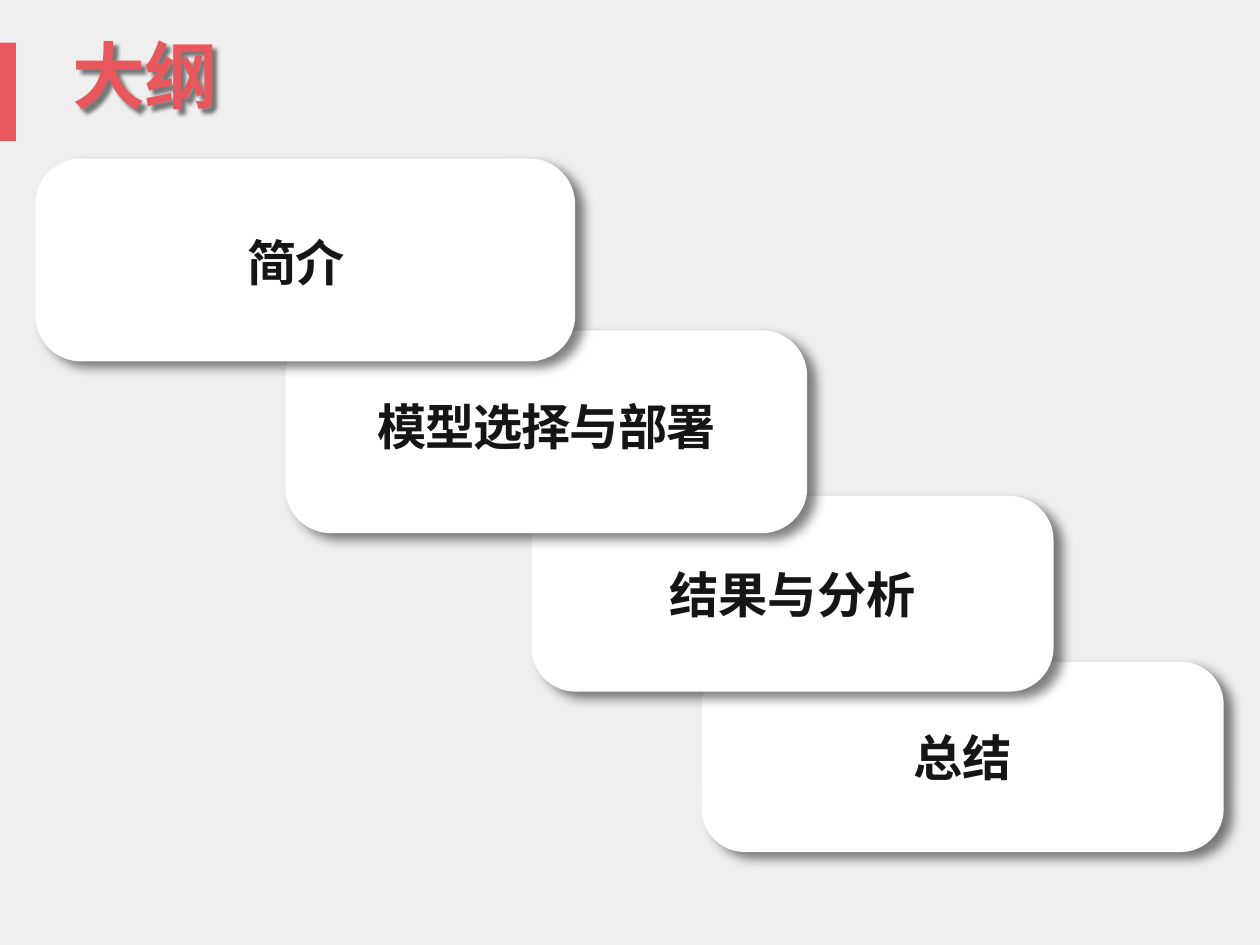
from lxml.etree import SubElement
from pptx import Presentation
from pptx.dml.color import RGBColor
from pptx.enum.shapes import MSO_SHAPE
from pptx.enum.text import MSO_ANCHOR, PP_ALIGN
from pptx.oxml.ns import qn
from pptx.util import Inches, Pt

CJK_FONT = "Noto Sans CJK SC"
CORAL = "E8575C"


def write(shape, text, size=40, font=CJK_FONT, color="151515", align=PP_ALIGN.CENTER,
          anchor=MSO_ANCHOR.MIDDLE, line_spacing=None, tracking=None):
    frame = shape.text_frame
    frame.word_wrap = True
    frame.vertical_anchor = anchor
    frame.margin_left = frame.margin_right = Inches(0.06)
    frame.margin_top = frame.margin_bottom = Inches(0.06)
    paragraph = frame.paragraphs[0]
    paragraph.alignment = align
    if line_spacing:
        paragraph.line_spacing = line_spacing
    run = paragraph.add_run()
    run.text = text
    run.font.size = Pt(size)
    run.font.bold = True
    run.font.name = font
    run.font.color.rgb = RGBColor.from_string(color)
    properties = run.font._element
    SubElement(properties, qn("a:ea"), typeface=CJK_FONT)
    if tracking:
        properties.set("spc", str(round(tracking * 100)))


def cast_shadow(shape, blur, distance, angle):
    shape.shadow.inherit = False
    effects = shape._element.spPr.find(qn("a:effectLst"))
    shadow = SubElement(effects, qn("a:outerShdw"), blurRad=str(Pt(blur)), dist=str(Pt(distance)),
                        dir=str(angle * 60000), algn="tl", rotWithShape="0")
    shade = SubElement(shadow, qn("a:srgbClr"), val="000000")
    SubElement(shade, qn("a:alpha"), val="50000")


presentation = Presentation()
presentation.slide_width = Inches(14.22)
presentation.slide_height = Inches(10.67)
slide = presentation.slides.add_slide(presentation.slide_layouts[5])
slide.background.fill.solid()
slide.background.fill.fore_color.rgb = RGBColor.from_string("EFEFEF")

heading = slide.shapes.title
heading.left, heading.top = Inches(0.76), Inches(0.48)
heading.width, heading.height = Inches(12.69), Inches(1.11)
write(heading, "大纲", size=59.4, font="Arial", color=CORAL, align=PP_ALIGN.LEFT,
      anchor=MSO_ANCHOR.TOP, line_spacing=0.8, tracking=-1.2)
cast_shadow(heading, blur=3, distance=4, angle=45)

accent = slide.shapes.add_shape(MSO_SHAPE.RECTANGLE, 0, Inches(0.48), Inches(0.18), Inches(1.11))
accent.shadow.inherit = False
accent.fill.solid()
accent.fill.fore_color.rgb = RGBColor.from_string(CORAL)
accent.line.fill.background()

tight = {"line_spacing": 0.8, "tracking": -0.8}
sections = [
    ("总结", 7.92, 7.47, 5.89, 2.15, {}),
    ("结果与分析", 6, 5.6, 5.89, 2.21, {}),
    ("模型选择与部署", 3.22, 3.73, 5.89, 2.29, tight),
    ("", 0.4, 1.79, 6.09, 2.29, {}),
]
for topic, left, top, width, height, spacing in sections:
    card = slide.shapes.add_shape(MSO_SHAPE.ROUNDED_RECTANGLE, Inches(left), Inches(top),
                                  Inches(width), Inches(height))
    card.adjustments[0] = 0.225
    card.fill.solid()
    card.fill.fore_color.rgb = RGBColor.from_string("FFFFFF")
    card.line.fill.background()
    cast_shadow(card, blur=9, distance=8.7, angle=36)
    if topic:
        write(card, topic, **spacing)

introduction = slide.shapes.add_textbox(Inches(0.4), Inches(1.94), Inches(5.89), Inches(2.15))
write(introduction, "简介", **tight)

presentation.save("out.pptx")
